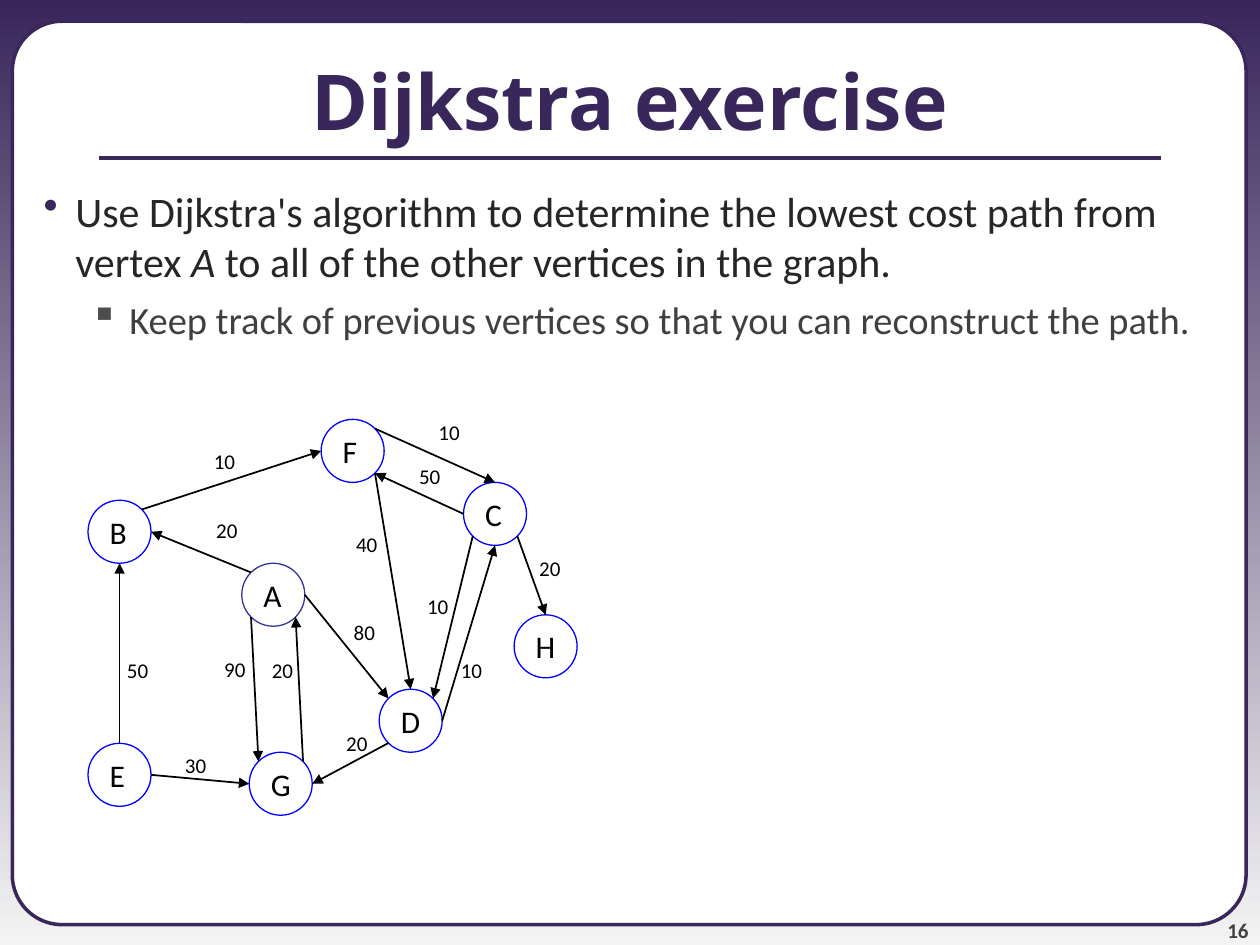
from math import sqrt

from lxml.etree import SubElement
from pptx import Presentation
from pptx.dml.color import RGBColor
from pptx.enum.shapes import MSO_CONNECTOR as Connector
from pptx.enum.shapes import MSO_SHAPE as Shape
from pptx.enum.text import MSO_ANCHOR as Anchor
from pptx.enum.text import PP_ALIGN as Align
from pptx.oxml.ns import qn
from pptx.util import Cm, Pt

PURPLE = RGBColor(0x39, 0x27, 0x5B)
PALE = RGBColor(0xF3, 0xF3, 0xF3)
WHITE = RGBColor(0xFF, 0xFF, 0xFF)
BLACK = RGBColor(0, 0, 0)
BLUE = RGBColor(0, 0, 0xFF)
START_BLUE = RGBColor(0x33, 0x33, 0x99)
INK = RGBColor(0x26, 0x26, 0x26)
SUB_INK = RGBColor(0x40, 0x40, 0x40)
NUMBER_INK = RGBColor(0x42, 0x42, 0x42)
SUB_BULLET = RGBColor(0x4D, 0x4D, 0x4D)

BODY_FONT = "Calibri"
TITLE_FONT = "Open Sans"

SLIDE_WIDTH, SLIDE_HEIGHT = 25.4, 19.05
DIAMETER = 1.27
LABEL_WIDTH, LABEL_HEIGHT = 0.94, 0.76

# Vertex centres in cm
VERTICES = {
    "A": (5.51, 11.99),
    "B": (2.41, 10.72),
    "C": (9.98, 10.36),
    "D": (8.28, 14.53),
    "E": (2.41, 15.62),
    "F": (7.11, 9.09),
    "G": (5.66, 15.8),
    "H": (11, 13.03),
}

# Start vertex, side it leaves, end vertex, side it enters, cost, label centre in cm
EDGES = [
    ("A", "NW", "B", "E", 20, (4.58, 10.69)),
    ("A", "SW", "G", "NW", 90, (4.74, 13.49)),
    ("A", "E", "D", "NW", 80, (7.35, 12.75)),
    ("B", "NE", "F", "W", 10, (4.53, 9.3)),
    ("C", "W", "F", "SE", 50, (8.67, 9.6)),
    ("C", "SW", "D", "NE", 10, (8.83, 12.22)),
    ("C", "SE", "H", "N", 20, (11.09, 11.46)),
    ("D", "E", "C", "S", 10, (9.51, 13.51)),
    ("D", "SW", "G", "E", 20, (7.2, 14.99)),
    ("E", "N", "B", "S", 50, (2.78, 13.51)),
    ("E", "E", "G", "W", 30, (3.95, 15.42)),
    ("F", "NE", "C", "N", 10, (9.06, 8.71)),
    ("F", "SE", "D", "N", 40, (7.4, 10.97)),
    ("G", "NE", "A", "SE", 20, (5.7, 13.51)),
]


def paint_background(page):
    fill = page.background.fill
    fill.gradient()
    fill.gradient_angle = 270
    for stop, color in zip(fill.gradient_stops, (PURPLE, PALE)):
        stop.color.rgb = color


def add_outlined(page, kind, left, top, width, height, color, weight):
    shape = page.shapes.add_shape(kind, Cm(left), Cm(top), Cm(width), Cm(height))
    shape.shadow.inherit = False
    shape.fill.solid()
    shape.fill.fore_color.rgb = WHITE
    shape.line.color.rgb = color
    shape.line.width = Pt(weight)
    return shape


def add_box(page, left, top, width, height, anchor=Anchor.TOP, wrap=True):
    box = page.shapes.add_textbox(Cm(left), Cm(top), Cm(width), Cm(height))
    box.text_frame.word_wrap = wrap
    box.text_frame.vertical_anchor = anchor
    return box.text_frame


def add_span(para, text, size, color, font=BODY_FONT, bold=False, italic=False):
    span = para.add_run()
    span.text = text
    span.font.size = Pt(size)
    span.font.name = font
    span.font.bold = bold
    span.font.italic = italic
    span.font.color.rgb = color


def set_bullet(para, symbol, color, margin, hanging, space):
    para.space_before = Pt(space)
    properties = para._p.get_or_add_pPr()
    properties.set("marL", str(Cm(margin)))
    properties.set("indent", str(-Cm(hanging)))
    bullet_color = SubElement(properties, qn("a:buClr"))
    SubElement(bullet_color, qn("a:srgbClr"), val=str(color))
    SubElement(properties, qn("a:buChar"), char=symbol)


def add_line(page, start, end, color, weight, arrow=False):
    ends = [Cm(value) for value in (*start, *end)]
    line = page.shapes.add_connector(Connector.STRAIGHT, *ends)
    line.line.color.rgb = color
    line.line.width = Pt(weight)
    if arrow:
        SubElement(line.line._get_or_add_ln(), qn("a:tailEnd"), type="triangle")
    SubElement(line._element.spPr, qn("a:effectLst"))


def rim_point(name, side):
    """Point of a vertex circle that lies in a compass direction."""
    x, y = VERTICES[name]
    across = ("E" in side) - ("W" in side)
    down = ("S" in side) - ("N" in side)
    reach = DIAMETER / 2 / sqrt(across**2 + down**2)
    return x + across * reach, y + down * reach


def add_vertex(page, name):
    x, y = VERTICES[name]
    color = START_BLUE if name == "A" else BLUE
    circle = add_outlined(page, Shape.OVAL, x - DIAMETER / 2, y - DIAMETER / 2,
                          DIAMETER, DIAMETER, color, 0.75)
    frame = circle.text_frame
    frame.word_wrap = False
    frame.vertical_anchor = Anchor.MIDDLE
    para = frame.paragraphs[0]
    para.alignment = Align.LEFT
    add_span(para, name, 18, BLACK)


def add_cost(page, cost, center):
    x, y = center
    frame = add_box(page, x - LABEL_WIDTH / 2, y - LABEL_HEIGHT / 2,
                    LABEL_WIDTH, LABEL_HEIGHT, Anchor.MIDDLE, wrap=False)
    add_span(frame.paragraphs[0], str(cost), 12, BLACK)


def add_frame(page):
    panel = add_outlined(page, Shape.ROUNDED_RECTANGLE, 0.25, 0.43, 24.87, 18.21, PURPLE, 2)
    panel.adjustments[0] = 0.055
    add_line(page, (2, 3.18), (SLIDE_WIDTH - 2, 3.18), PURPLE, 2.25)

    number = add_box(page, 23.06, 17.98, 2.11, 1.02, Anchor.BOTTOM)
    number.margin_left = number.margin_right = 0
    number.margin_top = number.margin_bottom = 0
    para = number.paragraphs[0]
    para.alignment = Align.RIGHT
    add_span(para, "16", 12, NUMBER_INK, bold=True)


def add_title(page):
    para = add_box(page, 0, 0.43, SLIDE_WIDTH, 3.18, Anchor.MIDDLE).paragraphs[0]
    para.alignment = Align.CENTER
    add_span(para, "Dijkstra exercise", 44, PURPLE, TITLE_FONT, bold=True)


def add_task(page):
    frame = add_box(page, 0, 3.61, SLIDE_WIDTH, 15.44)
    para = frame.paragraphs[0]
    set_bullet(para, "•", PURPLE, 1.27, 0.64, 6)
    add_span(para, "Use Dijkstra's algorithm to determine the lowest cost path from vertex ", 24, INK)
    add_span(para, "A", 24, INK, italic=True)
    add_span(para, " to all of the other vertices in the graph.", 24, INK)

    para = frame.add_paragraph()
    para.level = 1
    set_bullet(para, "▪", SUB_BULLET, 2.36, 0.79, 5.5)
    add_span(para, "Keep track of previous vertices so that you can reconstruct the path.", 22, SUB_INK)


def add_graph(page):
    for name in VERTICES:
        add_vertex(page, name)
    for start, leave, end, enter, cost, center in EDGES:
        add_line(page, rim_point(start, leave), rim_point(end, enter), BLACK, 1, arrow=True)
        add_cost(page, cost, center)


def main():
    deck = Presentation()
    deck.slide_width, deck.slide_height = Cm(SLIDE_WIDTH), Cm(SLIDE_HEIGHT)
    page = deck.slides.add_slide(deck.slide_layouts[6])
    paint_background(page)
    add_frame(page)
    add_title(page)
    add_task(page)
    add_graph(page)
    deck.save("out.pptx")


if __name__ == "__main__":
    main()
